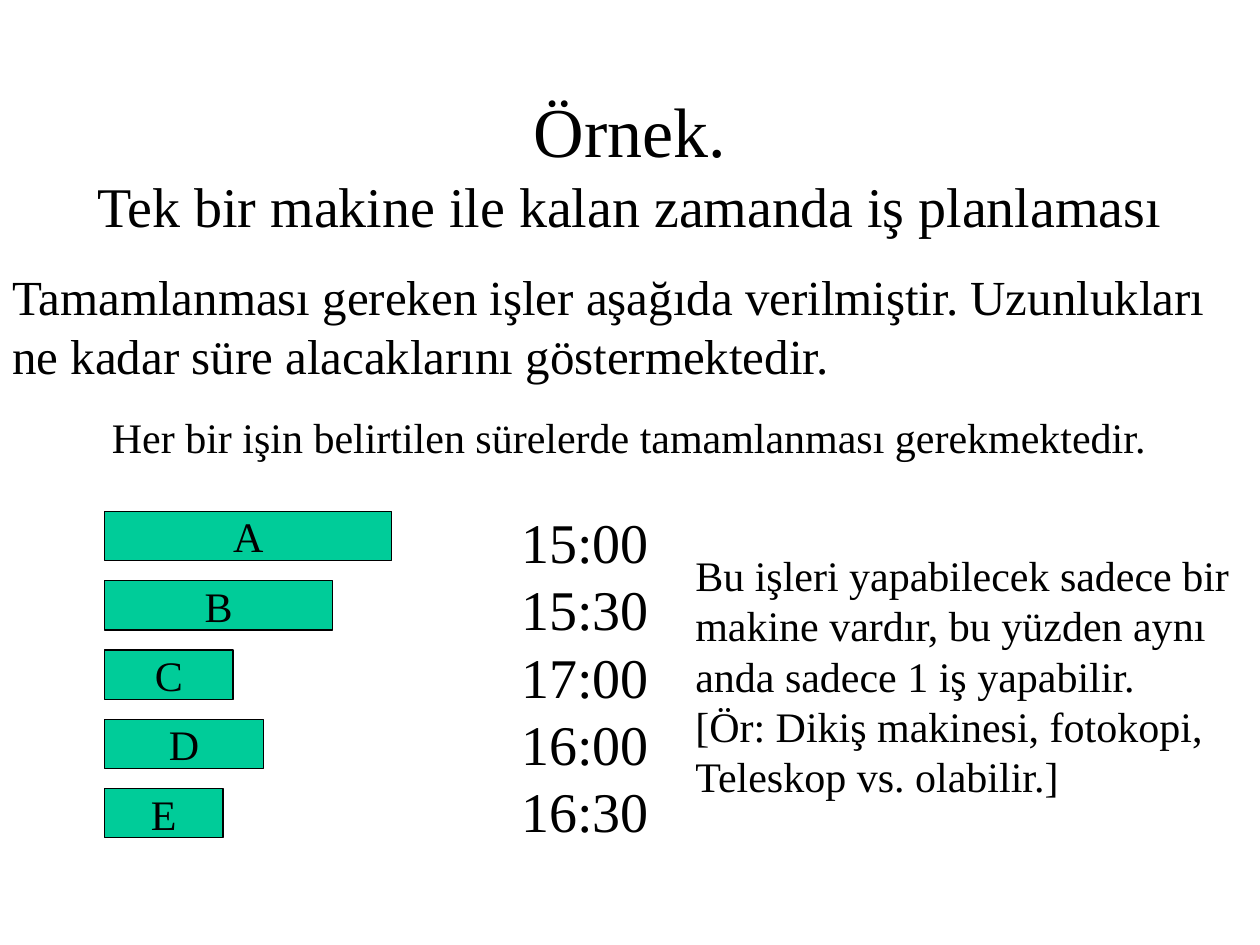
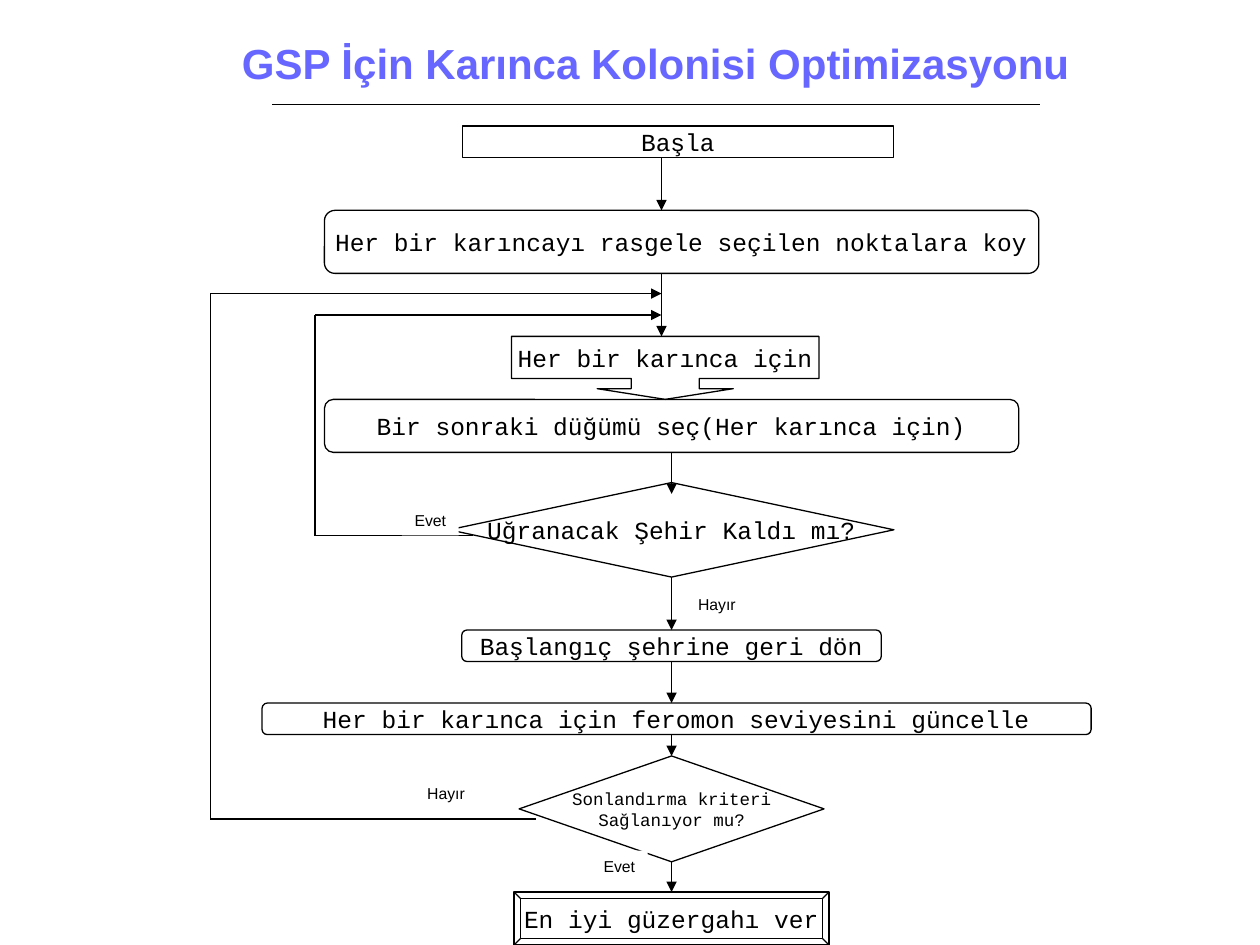
from itertools import pairwise

from lxml import etree
from pptx import Presentation
from pptx.dml.color import RGBColor
from pptx.enum.shapes import MSO_CONNECTOR, MSO_SHAPE
from pptx.enum.text import MSO_ANCHOR, PP_ALIGN
from pptx.oxml.ns import qn
from pptx.util import Inches, Pt

LEFT, CENTER = PP_ALIGN.LEFT, PP_ALIGN.CENTER
TOP, MIDDLE = MSO_ANCHOR.TOP, MSO_ANCHOR.MIDDLE
STRAIGHT = MSO_CONNECTOR.STRAIGHT
RECTANGLE = MSO_SHAPE.RECTANGLE
PROCESS = MSO_SHAPE.FLOWCHART_PROCESS
ALTERNATE = MSO_SHAPE.FLOWCHART_ALTERNATE_PROCESS
DECISION = MSO_SHAPE.FLOWCHART_DECISION
ROUNDED = MSO_SHAPE.ROUNDED_RECTANGLE
CALLOUT = MSO_SHAPE.DOWN_ARROW_CALLOUT
BEVEL = MSO_SHAPE.BEVEL
SIDE_TOP, SIDE_BOTTOM = 0, 2
TITLE_ONLY = 5

SERIF, SANS, MONO = "Times New Roman", "Arial", "Courier New"
BLACK, WHITE, GREEN, VIOLET = "000000", "FFFFFF", "00CC99", "6767FF"

EXAMPLE_TITLE = [("Örnek.", 40), ("Tek bir makine ile kalan zamanda iş planlaması", 32)]
JOBS = [("A", 2.28, "15:00"), ("B", 1.81, "15:30"), ("C", 1.02, "17:00"),
        ("D", 1.26, "16:00"), ("E", 0.94, "16:30")]
JOB_LEFT, JOB_TOP, JOB_HEIGHT, JOB_PITCH = 0.83, 4.06, 0.39, 0.55
EXAMPLE_TEXTS = [
    ((0, 2.07, 10, 1.36), 28,
     ["Tamamlanması gereken işler aşağıda verilmiştir. Uzunlukları ne kadar süre "
      "alacaklarını göstermektedir."]),
    ((4.04, 3.98, 1.38, 2.77), 32, [deadline for _, _, deadline in JOBS]),
    ((0.79, 3.22, 8.6, 0.5), 24,
     ["Her bir işin belirtilen sürelerde tamamlanması gerekmektedir."]),
    ((5.42, 4.31, 4.58, 2.1), 24,
     ["Bu işleri yapabilecek sadece bir makine vardır, bu yüzden aynı anda sadece 1 iş yapabilir.",
      "[Ör: Dikiş makinesi, fotokopi, Teleskop vs. olabilir.]"]),
]

COLONY_TITLE = "GSP İçin Karınca Kolonisi Optimizasyonu"
AXIS, ENTRY_AXIS = 5.33, 5.25
STEPS = {
    "start": (PROCESS, 5.38, 1, 3.42, 0.25, 14, ["Başla"]),
    "place": (ALTERNATE, 5.41, 1.67, 5.67, 0.5, 14,
              ["Her bir karıncayı rasgele seçilen noktalara koy"]),
    "select": (ALTERNATE, AXIS, 3.17, 5.51, 0.42, 14,
               ["Bir sonraki düğümü seç(Her karınca için)"]),
    "cities left": (DECISION, AXIS, 3.83, 3.53, 0.75, 14, ["Uğranacak Şehir Kaldı mı?"]),
    "each ant": (CALLOUT, 5.28, 2.67, 2.44, 0.5, 14, ["Her bir karınca için"]),
    "return": (ROUNDED, AXIS, 5, 3.33, 0.25, 14, ["Başlangıç şehrine geri dön"]),
    "update": (ALTERNATE, 5.37, 5.58, 6.58, 0.25, 14,
               ["Her bir karınca için feromon seviyesini güncelle"]),
    "criterion": (DECISION, AXIS, 6, 2.42, 0.84, 10, ["Sonlandırma kriteri", "Sağlanıyor mu?"]),
    "result": (BEVEL, AXIS, 7.08, 2.5, 0.42, 14, ["En iyi güzergahı ver"]),
}
ADJUSTMENTS = {"each ant": (1.08, 1.08, 0.17, 0.67), "return": (0.17,), "result": (0.12,)}
ARROWS = [
    (ENTRY_AXIS, 1.25, 1.67, None, None),
    (ENTRY_AXIS, 2.17, 2.67, None, None),
    (AXIS, 3.59, 3.92, "select", None),
    (AXIS, 4.58, 5, "cities left", "return"),
    (AXIS, 5.25, 5.58, "return", None),
    (AXIS, 5.83, 6, None, "criterion"),
    (AXIS, 6.84, 7.08, "criterion", "result"),
]
LOOPS = [
    [(3.75, 4.25), (2.5, 4.25), (2.5, 2.5), (ENTRY_AXIS, 2.5)],
    [(4.25, 6.5), (1.67, 6.5), (1.67, 2.33), (ENTRY_AXIS, 2.33)],
]
ANSWERS = [("Evet", 3.19, 4, 0.45), ("Hayır", 5.44, 4.67, 0.5),
           ("Evet", 4.69, 6.75, 0.45), ("Hayır", 3.29, 6.17, 0.5)]


def color(value):
    return RGBColor.from_string(value)


def inches(*values):
    return [Inches(value) for value in values]


def style(paragraph, font, size=None, hue=BLACK, align=CENTER, bold=False):
    paragraph.alignment = align
    paragraph.font.name = font
    paragraph.font.bold = bold
    paragraph.font.color.rgb = color(hue)
    if size:
        paragraph.font.size = Pt(size)


def write(shape, lines, font, size, wrap=False, anchor=MIDDLE, **look):
    frame = shape.text_frame
    frame.word_wrap = wrap
    frame.vertical_anchor = anchor
    frame.text = "\n".join(lines)
    for paragraph in frame.paragraphs:
        style(paragraph, font, size, **look)


def add_box(slide, kind, box, fill=None, outline=True):
    shape = slide.shapes.add_shape(kind, *inches(*box))
    shape.shadow.inherit = False
    if fill:
        shape.fill.solid()
        shape.fill.fore_color.rgb = color(fill)
    else:
        shape.fill.background()
    if outline:
        shape.line.color.rgb = color(BLACK)
        shape.line.width = Pt(0.75)
    else:
        shape.line.fill.background()
    return shape


def add_line(slide, begin, end, arrow=False):
    connector = slide.shapes.add_connector(STRAIGHT, *inches(*begin, *end))
    connector.line.color.rgb = color(BLACK)
    connector.line.width = Pt(0.75)
    if arrow:
        line = connector.line._get_or_add_ln()
        etree.SubElement(line, qn("a:tailEnd"), type="triangle")
    etree.SubElement(connector._element.spPr, qn("a:effectLst"))
    return connector


def add_titled_slide(presentation, box):
    slide = presentation.slides.add_slide(presentation.slide_layouts[TITLE_ONLY])
    title = slide.shapes.title
    title.left, title.top, title.width, title.height = inches(*box)
    title.text_frame.vertical_anchor = MIDDLE
    return slide


def build_example(presentation):
    slide = add_titled_slide(presentation, (0.43, 0.67, 9.14, 1.25))
    paragraph = slide.shapes.title.text_frame.paragraphs[0]
    for index, (text, size) in enumerate(EXAMPLE_TITLE):
        if index:
            paragraph.add_line_break()
        run = paragraph.add_run()
        run.text = text
        run.font.size = Pt(size)
    style(paragraph, SERIF)

    for index, (name, width, _) in enumerate(JOBS):
        box = (JOB_LEFT, JOB_TOP + index * JOB_PITCH, width, JOB_HEIGHT)
        write(add_box(slide, RECTANGLE, box, GREEN), [name], SERIF, 24)
    for box, size, lines in EXAMPLE_TEXTS:
        write(slide.shapes.add_textbox(*inches(*box)), lines, SERIF, size, True, TOP, align=LEFT)


def build_colony(presentation):
    slide = add_titled_slide(presentation, (1.82, 0.25, 6.77, 0.5))
    write(slide.shapes.title, [COLONY_TITLE], SANS, 24, hue=VIOLET, bold=True)
    add_line(slide, (2.16, 0.83), (8.25, 0.83))

    steps = {}
    for name, (kind, center, top, width, height, size, lines) in STEPS.items():
        step = add_box(slide, kind, (center - width / 2, top, width, height))
        for index, value in enumerate(ADJUSTMENTS.get(name, ())):
            step.adjustments[index] = value
        write(step, lines, MONO, size)
        steps[name] = step

    for x, top, bottom, source, target in ARROWS:
        arrow = add_line(slide, (x, top), (x, bottom), True)
        if source:
            arrow.begin_connect(steps[source], SIDE_BOTTOM)
        if target:
            arrow.end_connect(steps[target], SIDE_TOP)
    for loop in LOOPS:
        for begin, end in pairwise(loop):
            add_line(slide, begin, end, end == loop[-1])
    for text, left, top, width in ANSWERS:
        answer = add_box(slide, RECTANGLE, (left, top, width, 0.25), WHITE, False)
        write(answer, [text], SANS, 9)


def main():
    presentation = Presentation()
    presentation.slide_width, presentation.slide_height = inches(10, 7.5)
    build_example(presentation)
    build_colony(presentation)
    presentation.save("out.pptx")


if __name__ == "__main__":
    main()
